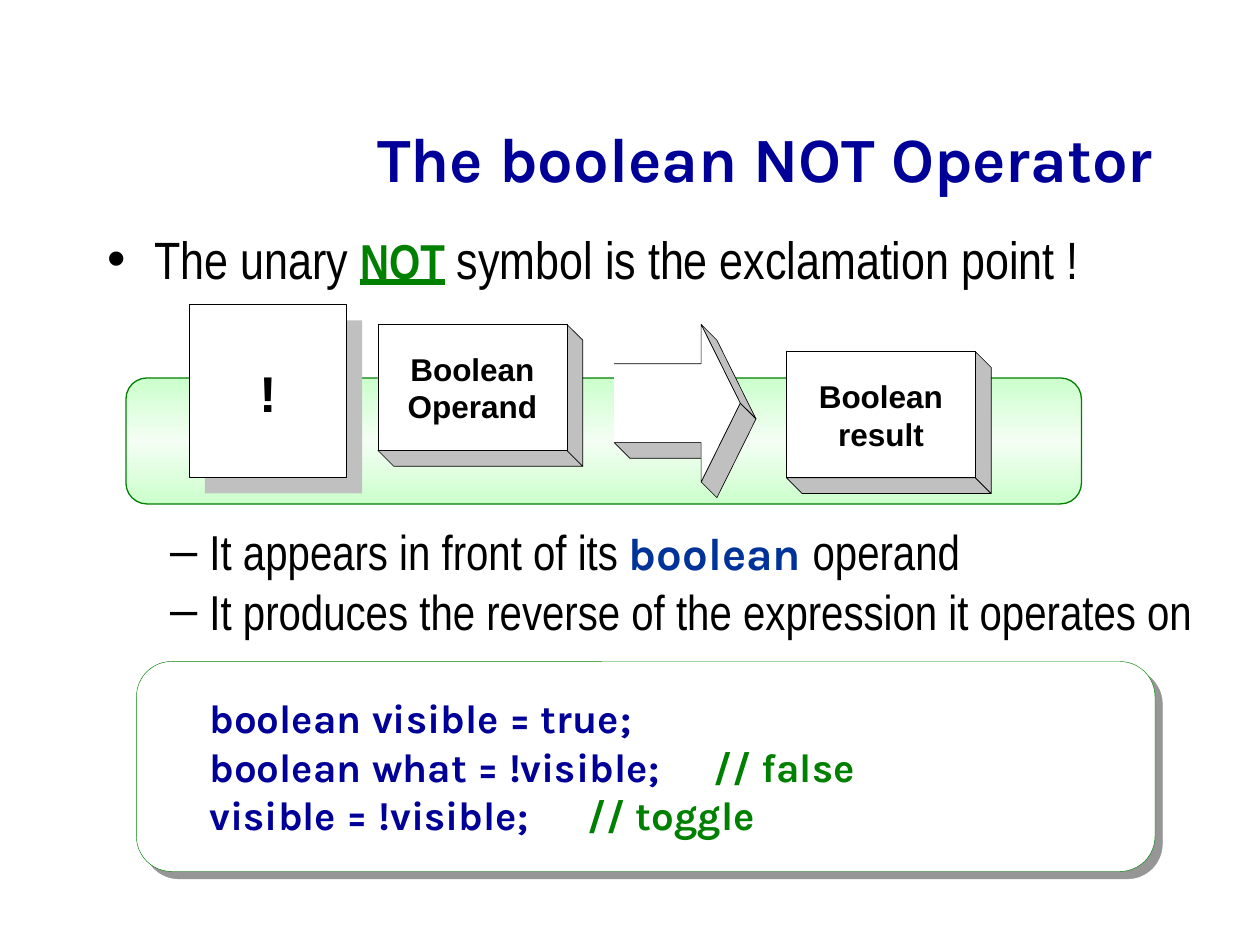
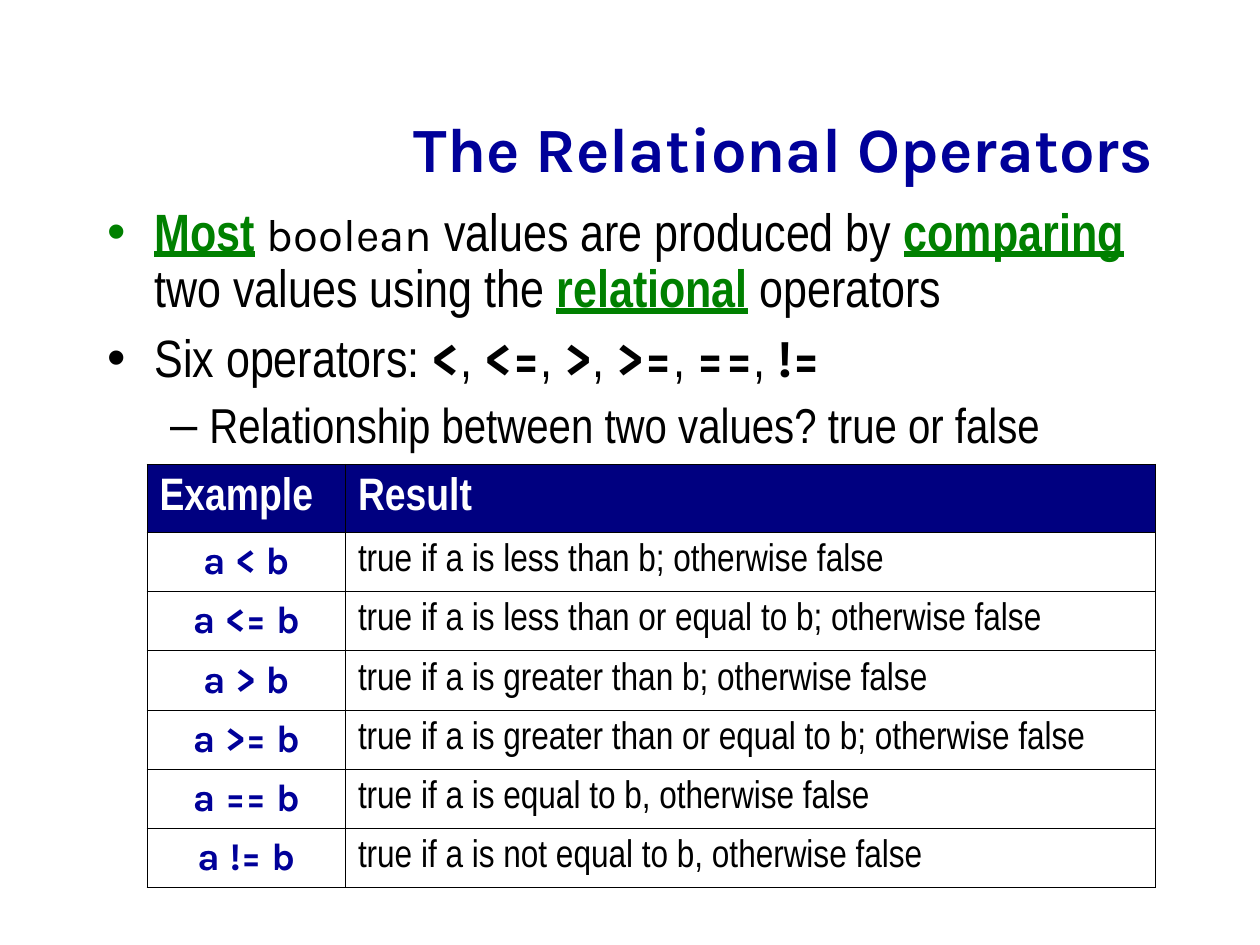
from lxml.etree import SubElement as Sub
from pptx import Presentation
from pptx.dml.color import RGBColor as RGB
from pptx.enum.shapes import MSO_CONNECTOR as Link, MSO_SHAPE as Kind
from pptx.enum.text import MSO_ANCHOR as Anchor, MSO_AUTO_SIZE as Fit, PP_ALIGN as Align
from pptx.oxml.ns import qn
from pptx.util import Inches, Pt

# ---- Content: each line is (kind, runs); each run is (text, style) ----
NOT_TITLE = "The boolean NOT Operator"
NOT_LINES = [
    ("point", [("The unary ", "text"), ("NOT", "not"),
               (" symbol is the exclamation point !", "text")]),
    ("below", [("It appears in front of its ", "sub"), ("boolean", "word"),
               (" operand", "sub")]),
    ("tight", [("It produces the reverse of the expression it operates on", "sub")]),
    ("first", [("boolean visible = true;", "code")]),
    ("code", [("boolean what = !visible;\t", "code"), ("// false", "note")]),
    ("code", [("visible = !visible;\t", "code"), ("// toggle", "note")]),
]
REL_TITLE = "The Relational Operators"
SIGNS = ["<", "<=", ">", ">=", "==", "!="]
REL_LINES = [
    ("dense", [("Most", "key"), (" ", "text"), ("boolean", "type"),
               (" values are produced by ", "text"), ("comparing", "key"),
               (" two values using the ", "text"), ("relational", "key"),
               (" operators", "text")]),
    ("dense", [("Six operators: ", "text"), (SIGNS[0], "sign")]
     + [run for sign in SIGNS[1:] for run in ((", ", "text"), (sign, "sign"))]),
    ("minor", [("Relationship between two values? true or false", "sub")]),
]
HEAD = ("Example", "Result")
MEANS = ["less than b;", "less than or equal to b;", "greater than b;",
         "greater than or equal to b;", "equal to b,", "not equal to b,"]
ROWS = [(f"a {sign} b", f"true if a is {mean} otherwise false")
        for sign, mean in zip(SIGNS, MEANS)]

# ---- Theme ----
NARROW, KARLA = "Arial Narrow", "Karla"
BLACK, WHITE, GREEN, NAVY = "000000", "FFFFFF", "008000", "000099"
GREY, SHADE, HEADER, BLUE = "C0C0C0", "969696", "000080", "003399"
GLOW = [(0, "CCFFCC"), (50, "F4FEF4"), (100, "CCFFCC")]
HAIR = 0.37


def face(name, size, color=BLACK, bold=False, underline=False):
    return dict(name=name, size=Pt(size), color=color, bold=bold, underline=underline)


STYLE = {
    "title": face(KARLA, 36, NAVY, True),
    "text": face(NARROW, 30),
    "sub": face(NARROW, 28),
    "key": face(NARROW, 30, GREEN, True, True),
    "not": face(NARROW, 28, GREEN, True, True),
    "word": face(KARLA, 26, BLUE, True),
    "type": face(KARLA, 26),
    "sign": face(KARLA, 30, BLACK, True),
    "code": face(KARLA, 23, NAVY, True),
    "note": face(KARLA, 23, GREEN, True),
    "head": face(NARROW, 26, WHITE, True),
    "case": face(KARLA, 22, NAVY, True),
    "cell": face(NARROW, 22),
    "bang": face("Courier New", 30, BLACK, True),
    "box": face("Arial", 18, BLACK, True),
}
PARA = {
    "point": dict(level=0, line_spacing=1.0, space_before=Pt(7.5)),
    "dense": dict(level=0, line_spacing=0.9, space_before=Pt(7.5)),
    "below": dict(level=1, line_spacing=0.8, space_before=Pt(139)),
    "tight": dict(level=1, line_spacing=0.8, space_before=Pt(7)),
    "minor": dict(level=1, line_spacing=0.9, space_before=Pt(7)),
    "first": dict(level=1, line_spacing=1.0, space_before=Pt(31)),
    "code": dict(level=1, line_spacing=1.0, space_before=Pt(0)),
}

# ---- Grid: twelve units to the inch ----
UNIT = Inches(1) / 12
DEPTH = 1.5
TITLE, BODY = (25, 86, 8), (9, 106, 60)  # left, width, height
CARD = (13, 63, 97, 20)
BAND = (12, 36, 91, 12)
BANG = (18, 29, 15, 16.5)
CUBES = [((36, 30.9, 18, 12), "Boolean\nOperand"), ((74.9, 33.5, 18, 12), "Boolean\nresult")]
ARROW = (58.5, 30.9, 12, 15)
TABLE = (14, 44.2, 96, 39.8)
COLS, HIGH, LOW = (18.9, 77.1), 6.5, 5.64


def emu(*units):
    return [round(n * UNIT) for n in units]


def style(font, look):
    for key, val in STYLE[look].items():
        if key == "color":
            font.color.rgb = RGB.from_string(val)
        else:
            setattr(font, key, val)


def write(para, text, look):
    run = para.add_run()
    run.text = text
    style(run.font, look)


def paint(shape, fill=None, line=None, width=HAIR):
    shape.shadow.inherit = False
    for part, color in ((shape.fill, fill), (shape.line.fill, line)):
        if color:
            part.solid()
            part.fore_color.rgb = RGB.from_string(color)
        else:
            part.background()
    if line:
        shape.line.width = Pt(width)
    return shape


def block(shapes, area, kind=Kind.RECTANGLE, **look):
    return paint(shapes.add_shape(kind, *emu(*area)), **look)


def trace(shapes, points, close=True, **look):
    first, *rest = [emu(*point) for point in points]
    pen = shapes.build_freeform(*first)
    pen.add_line_segments(rest, close=close)
    return paint(pen.convert_to_shape(), **look)


def side(shapes, start, end):
    """Draw the grey face that an edge leaves when pushed down and right."""
    back = [(x + DEPTH, y + DEPTH) for x, y in (end, start)]
    trace(shapes, [start, end, *back], fill=GREY, line=BLACK)


def label(shape, text, look):
    frame = shape.text_frame
    frame.vertical_anchor = Anchor.MIDDLE
    for i, line in enumerate(text.split("\n")):
        para = frame.add_paragraph() if i else frame.paragraphs[0]
        para.alignment = Align.CENTER
        write(para, line, look)


def cube(shapes, area, text):
    x, y, w, h = area
    corner = (x + w, y + h)
    side(shapes, (x, y + h), corner)
    side(shapes, (x + w, y), corner)
    label(block(shapes, area, fill=WHITE, line=BLACK), text, "box")


def arrow(shapes, area):
    x, y, w, h = area
    neck, tip, quarter = x + w * 0.69, (x + w, y + h / 2), h / 4
    top, foot = (neck, y), (neck, y + h)
    low = (neck, y + 3 * quarter)
    side(shapes, (x, low[1]), low)
    side(shapes, top, tip)
    side(shapes, tip, foot)
    edge = [(x, low[1]), low, foot, tip, top, (neck, y + quarter), (x, y + quarter)]
    trace(shapes, edge, fill=WHITE)
    trace(shapes, edge, close=False, line=BLACK)
    ridge = shapes.add_connector(Link.STRAIGHT, *emu(*tip, *(n + DEPTH for n in tip)))
    ridge.line.color.rgb = RGB.from_string(BLACK)
    ridge.line.width = Pt(HAIR)
    Sub(ridge.element.spPr, qn("a:effectLst"))


def place(shape, area, top):
    x, w, h = area
    shape.left, shape.top, shape.width, shape.height = emu(x, top, w, h)
    shape.text_frame.auto_size = Fit.NONE


def page(deck, title, title_top, lines, body_top):
    slide = deck.slides.add_slide(deck.slide_layouts[1])
    head, body = slide.placeholders
    place(head, TITLE, title_top)
    place(body, BODY, body_top)
    para = head.text_frame.paragraphs[0]
    para.alignment = Align.RIGHT
    write(para, title, "title")
    for i, (kind, runs) in enumerate(lines):
        para = body.text_frame.add_paragraph() if i else body.text_frame.paragraphs[0]
        for key, val in PARA[kind].items():
            setattr(para, key, val if i or key != "space_before" else Pt(0))
        if kind in ("first", "code"):
            props = para._p.get_or_add_pPr()
            props.set("indent", "0")
            Sub(props, qn("a:buNone"))
            Sub(Sub(props, qn("a:tabLst")), qn("a:tab"), pos=str(Inches(4)), algn="l")
        for text, look in runs:
            write(para, text, look)
    return slide


def card(slide):
    """Draw the shadowed code card behind the body text."""
    shape = block(slide.shapes, CARD, Kind.ROUNDED_RECTANGLE,
                  fill=WHITE, line=GREEN, width=0.25)
    glow = shape.element.spPr.find(qn("a:effectLst"))
    cast = Sub(glow, qn("a:outerShdw"), dist=str(Pt(6)), dir="2700000",
               algn="ctr", rotWithShape="0")
    Sub(cast, qn("a:srgbClr"), val=SHADE)
    slide.shapes.element.insert(2, shape.element)


def band(shapes):
    shape = block(shapes, BAND, Kind.ROUNDED_RECTANGLE, line=GREEN, width=0.75)
    shape.fill.gradient()
    shape.fill.gradient_angle = 90
    stops = shape.element.spPr.find(qn("a:gradFill")).find(qn("a:gsLst"))
    for stop in list(stops):
        stops.remove(stop)
    for at, color in GLOW:
        Sub(Sub(stops, qn("a:gs"), pos=str(at * 1000)), qn("a:srgbClr"), val=color)


def diagram(slide):
    shapes = slide.shapes.add_group_shape().shapes
    band(shapes)
    x, y, w, h = BANG
    block(shapes, (x + DEPTH, y + DEPTH, w, h), fill=GREY)
    label(block(shapes, BANG, fill=WHITE, line=BLACK), "!", "bang")
    cube(shapes, *CUBES[0])
    arrow(shapes, ARROW)
    cube(shapes, *CUBES[1])


def border(cell):
    props = cell._tc.get_or_add_tcPr()
    for i, edge in enumerate(("lnL", "lnR", "lnT", "lnB")):
        line = props.makeelement(qn("a:" + edge), {"w": str(Pt(0.34))})
        Sub(Sub(line, qn("a:solidFill")), qn("a:srgbClr"), val=BLACK)
        props.insert(i, line)


def grid(slide):
    data = [HEAD, *ROWS]
    table = slide.shapes.add_table(len(data), len(HEAD), *emu(*TABLE)).table
    for col, width in zip(table.columns, emu(*COLS)):
        col.width = width
    for r, row in enumerate(data):
        table.rows[r].height = emu(LOW if r else HIGH)[0]
        for c, text in enumerate(row):
            cell = table.cell(r, c)
            cell.vertical_anchor = Anchor.MIDDLE
            cell.fill.solid()
            cell.fill.fore_color.rgb = RGB.from_string(WHITE if r else HEADER)
            para = cell.text_frame.paragraphs[0]
            para.alignment = Align.CENTER if r and not c else Align.LEFT
            write(para, text, ("case", "cell")[c] if r else "head")
            border(cell)


def main():
    deck = Presentation()
    deck.slide_width, deck.slide_height = Inches(10), Inches(7.5)
    slide = page(deck, NOT_TITLE, 11, NOT_LINES, 21)
    card(slide)
    diagram(slide)
    grid(page(deck, REL_TITLE, 10, REL_LINES, 19))
    deck.save("out.pptx")


if __name__ == "__main__":
    main()
